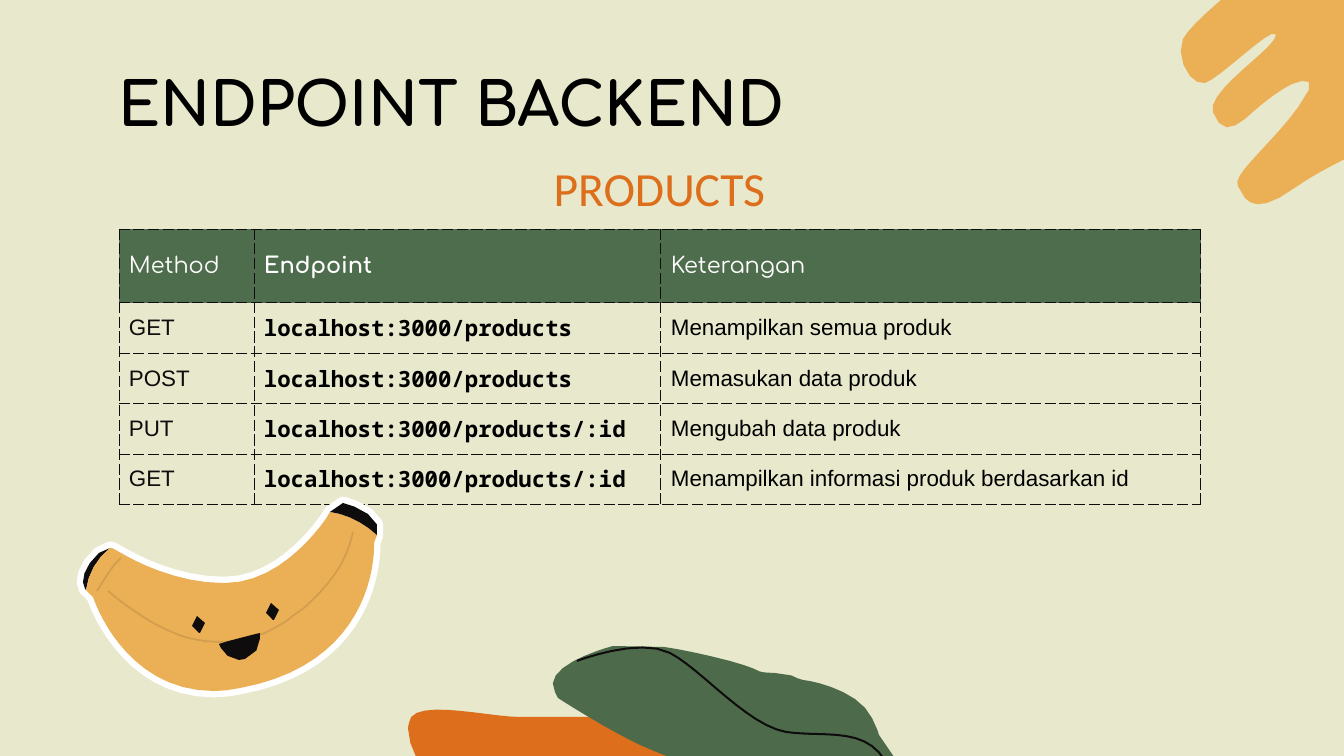
from math import dist

from lxml.etree import SubElement
from pptx import Presentation
from pptx.dml.color import RGBColor
from pptx.enum.text import MSO_ANCHOR as Anchor, PP_ALIGN as Align
from pptx.oxml.ns import qn
from pptx.util import Emu, Pt

EMU_PER_PX = 914400 / 100.8
STEP_LENGTH = 12
CREAM, YELLOW, ORANGE, GREEN = "E8E8CC", "EBB056", "DD6E1B", "4D6B4B"
HEADER_GREEN, INK, BLACK, WHITE = "4E6D4C", "0F0C0D", "000000", "FFFFFF"

SPLASH = """65,258|62,254 60,250 58,246|51,235 92,204 119,166|130,152 131,145 129,142
|125,138 110,144 103,149|89,158 77,168 65,179|55,187 46,191 39,183|37,180 35,177 33,172
|26,151 96,108 96,95|95,94|90,88 39,139 25,143|20,144 14,141 10,136
|2,127 -2,110 3,99|11,81 92,18 92,18|92,18 106,-2 132,-1|142,-1 151,5 159,15
|173,31 184,56 192,73|205,101 223,143 218,173|214,204 162,215 116,247|85,270 72,266 65,258"""
ORANGE_LEAF = """264,126|264,122 263,118 261,116|250,100 245,90 220,77|112,77|79,77 3,57 1,83
|0,88|0,113 23,139 23,139|23,139 46,162 106,172|168,182 204,196 223,196
|239,196 264,149 264,126"""
GREEN_LEAF = """515,159|471,95|471,95 469,87 464,78|460,71 455,64 447,59|428,46 404,41 395,40
|386,39 392,35 367,33|342,32 362,32 322,21|280,10 256,7 256,7|205,6|205,6 131,25 147,52
|150,58|150,58 210,97 246,111|260,116 262,118 263,118|263,118 265,119 282,125
|323,138 315,139 345,148|374,158 387,165 400,159|414,154 421,152 426,151
|432,150 460,150 460,150|492,152|515,159"""
LEAF_VEIN = "169,21|169,21 231,-3 262,13|293,29 339,85 378,92|418,98 464,84 482,131"
TIP = "30,48|26,49 22,50 19,53|4,66 0,82 5,89|6,90|8,74 17,58 30,48"
BODY = """250,12|247,17|247,17 205,83 145,83|143,83|90,83 43,54 43,54
|40,50 36,48 32,48|30,48|17,58 8,74 6,90|8,93 10,95 13,97|13,97 43,191 134,191
|142,191 151,190 160,188|301,162 294,43 294,43|296,41 297,38 297,35|284,23 267,14 250,12"""
STEM = """263,3|258,3 254,6 250,12|267,14 284,23 297,35|299,29 298,20 288,14
|278,9 270,3 263,3"""
CREASE = """273,32|270,47 264,61 255,74|246,87 235,98 224,108|217,113 211,117 205,122
|198,126 191,130 185,133|170,139 155,142 140,142|135,142 128,142 124,141
|119,140 114,139 108,138|98,135 89,131 79,126|73,123 66,119 53,110|44,104 40,101 28,91"""
FOLD = "41,58|38,60 35,62 34,65|30,71 24,79 17,91"
EYE = """117,116|120,116 124,119 125,123|126,128 124,132 120,133|119,133
|116,133 113,131 112,126|111,121 113,117 117,116"""
MOUTH = """180,133|180,133 182,155 165,159|159,160|145,160 139,144 139,144
|147,141 180,133 180,133"""
EYE_GAP = (74, -13)

ENDPOINTS = [
    ("Method", "Endpoint", "Keterangan"),
    ("GET", "localhost:3000/products", "Menampilkan semua produk"),
    ("POST", "localhost:3000/products", "Memasukan data produk"),
    ("PUT", "localhost:3000/products/:id", "Mengubah data produk"),
    ("GET", "localhost:3000/products/:id", "Menampilkan informasi produk berdasarkan id"),
]
COLUMN_STYLES = [("Arial", INK, False), ("Noto Sans Mono", BLACK, True), ("Arial", BLACK, False)]


def px(length):
    """Turn px into EMU."""
    return Emu(round(length * EMU_PER_PX))


def colour(hex_string):
    """Turn a hex string into a colour."""
    return RGBColor.from_string(hex_string)


def curve_point(points, t):
    """Find the point at t on the curve with these control points."""
    while len(points) > 1:
        points = [((1 - t) * x1 + t * x2, (1 - t) * y1 + t * y2)
                  for (x1, y1), (x2, y2) in zip(points, points[1:])]
    return points[0]


def trace(outline):
    """List points along segments split by bars: one pair is a line, three are a curve."""
    segments = [[tuple(map(int, pair.split(","))) for pair in segment.split()]
                for segment in outline.split("|")]
    points = segments[0]
    for segment in segments[1:]:
        controls = [points[-1], *segment]
        length = sum(map(dist, controls, controls[1:]))
        steps = 1 if len(segment) == 1 else max(1, round(length / STEP_LENGTH))
        points = points + [curve_point(controls, i / steps) for i in range(1, steps + 1)]
    return points


def draw(shapes, origin, outline, fill=None, line=None, width=1, alpha=None):
    """Draw an outline from its origin; it is closed when it has a fill."""
    points = [(px(origin[0] + x), px(origin[1] + y)) for x, y in trace(outline)]
    builder = shapes.build_freeform(*points[0], scale=1.0)
    builder.add_line_segments(points[1:], close=fill is not None)
    shape = builder.convert_to_shape()
    shape.shadow.inherit = False
    if fill:
        shape.fill.solid()
        shape.fill.fore_color.rgb = colour(fill)
    else:
        shape.fill.background()
    if line:
        shape.line.color.rgb = colour(line)
        shape.line.width = Pt(width)
        if alpha:
            line_colour = next(shape.element.spPr.iter(qn("a:srgbClr")))
            SubElement(line_colour, qn("a:alpha"), val=str(alpha * 1000))
    else:
        shape.line.fill.background()


def add_leaves(slide, left, top):
    """Draw the two leaves at the bottom edge."""
    shapes = slide.shapes.add_group_shape().shapes
    draw(shapes, (left, top), ORANGE_LEAF, ORANGE)
    draw(shapes, (left, top), GREEN_LEAF, GREEN)
    draw(shapes, (left, top), LEAF_VEIN, line=INK, width=1.44)


def add_banana(slide, left, top):
    """Draw the smiling banana over its white halo."""
    shapes = slide.shapes.add_group_shape().shapes
    origin = (left, top)
    right_eye = (left + EYE_GAP[0], top + EYE_GAP[1])
    skin = [(TIP, INK), (BODY, YELLOW), (STEM, INK)]
    for outline, _ in skin:
        draw(shapes, origin, outline, WHITE, WHITE, 9)
    for outline, fill in skin:
        draw(shapes, origin, outline, fill)
    for outline in (CREASE, FOLD):
        draw(shapes, origin, outline, line=INK, width=1.25, alpha=11)
    for place, outline in ((origin, EYE), (right_eye, EYE), (origin, MOUTH)):
        draw(shapes, place, outline, INK)


def set_text(text_frame, text, font, size, hex_string, bold=False, align=Align.LEFT):
    """Fill a text frame with one formatted paragraph."""
    text_frame.text = text
    paragraph = text_frame.paragraphs[0]
    paragraph.alignment = align
    run_font = paragraph.runs[0].font
    run_font.name, run_font.size, run_font.bold = font, Pt(size), bold
    run_font.color.rgb = colour(hex_string)


def place_text(shape, box, inset):
    """Set the box, insets, wrapping and anchor of a text shape."""
    shape.left, shape.top, shape.width, shape.height = map(px, box)
    frame = shape.text_frame
    frame.margin_left = frame.margin_right = frame.margin_top = frame.margin_bottom = px(inset)
    frame.word_wrap = True
    frame.vertical_anchor = Anchor.TOP


def add_borders(cell):
    """Give a cell thin dashed borders."""
    properties = cell._tc.get_or_add_tcPr()
    for side in ("lnL", "lnR", "lnT", "lnB"):
        border = SubElement(properties, qn(f"a:{side}"), w=str(Pt(0.75)))
        fill = SubElement(border, qn("a:solidFill"))
        SubElement(fill, qn("a:srgbClr"), val=INK)
        SubElement(border, qn("a:prstDash"), val="dash")


def add_endpoint_table(slide, left, top, widths, header_height, row_height):
    """Add the table of endpoints."""
    heights = [header_height] + [row_height] * (len(ENDPOINTS) - 1)
    table = slide.shapes.add_table(len(heights), len(widths), px(left), px(top),
                                   px(sum(widths)), px(sum(heights))).table
    table.horz_banding = False
    for column, width in zip(table.columns, widths):
        column.width = px(width)
    for index, (row, height, texts) in enumerate(zip(table.rows, heights, ENDPOINTS)):
        row.height = px(height)
        for cell, text, (font, hex_string, bold) in zip(row.cells, texts, COLUMN_STYLES):
            add_borders(cell)
            cell.margin_left = cell.margin_right = cell.margin_top = cell.margin_bottom = px(10)
            cell.vertical_anchor = Anchor.MIDDLE
            if index == 0:
                font, hex_string = "Comfortaa", WHITE
                cell.fill.solid()
                cell.fill.fore_color.rgb = colour(HEADER_GREEN)
            else:
                cell.fill.background()
            set_text(cell.text_frame, text, font, 16, hex_string, bold)


def build_endpoint_slide(presentation):
    """Build the slide of backend endpoints."""
    slide = presentation.slides.add_slide(presentation.slide_layouts[5])
    slide.background.fill.solid()
    slide.background.fill.fore_color.rgb = colour(CREAM)
    draw(slide.shapes, (1180, -60), SPLASH, YELLOW)
    add_leaves(slide, 408, 640)
    add_endpoint_table(slide, 119, 229, [135, 407, 540], 74, 47)
    title = slide.shapes.title
    place_text(title, (105, 53, 1134, 96), 13)
    set_text(title.text_frame, "ENDPOINT BACKEND", "Comfortaa", 43, BLACK, True)
    add_banana(slide, 80, 500)
    heading = slide.shapes.add_textbox(0, 0, 0, 0)
    place_text(heading, (375, 149, 569, 78), 10)
    set_text(heading.text_frame, "PRODUCTS", "Calibri", 34, ORANGE, align=Align.CENTER)


def main():
    """Create and save the presentation."""
    presentation = Presentation()
    presentation.slide_width, presentation.slide_height = px(1344), px(756)
    build_endpoint_slide(presentation)
    presentation.save("out.pptx")


if __name__ == "__main__":
    main()
